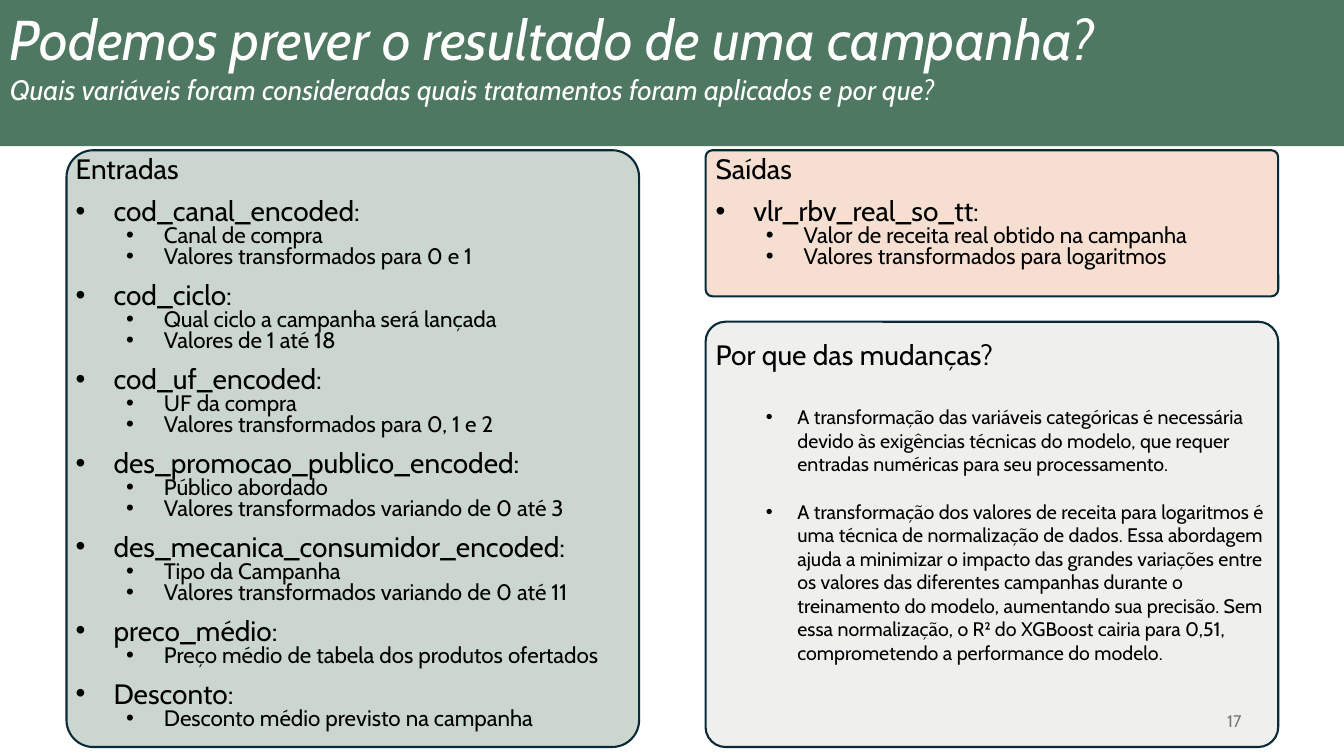
from pptx import Presentation
from pptx.dml.color import RGBColor
from pptx.enum.shapes import MSO_SHAPE as Shape
from pptx.enum.text import MSO_ANCHOR as Anchor, PP_ALIGN as Align
from pptx.oxml.ns import qn
from pptx.util import Pt
from lxml.etree import SubElement

FONT = "Cabin"
GREEN = RGBColor(0x4E, 0x78, 0x61)
SAGE = RGBColor(0x98, 0xAF, 0xA0)
PEACH = RGBColor(0xEF, 0xC1, 0xA5)
STONE = RGBColor(0xE1, 0xE0, 0xDC)
NAVY = RGBColor(0x09, 0x2A, 0x39)
BLACK = RGBColor(0, 0, 0)
WHITE = RGBColor(0xFF, 0xFF, 0xFF)
GRAY = RGBColor(0x79, 0x79, 0x79)

LEFT, RIGHT, COLUMN = 47.5, 504, 409
LINE = 15

INPUTS = [
    ("cod_canal_encoded:", ["Canal de compra", "Valores transformados para 0 e 1"]),
    ("cod_ciclo:", ["Qual ciclo a campanha será lançada", "Valores de 1 até 18"]),
    ("cod_uf_encoded:", ["UF da compra", "Valores transformados para 0, 1 e 2"]),
    ("des_promocao_publico_encoded:",
     ["Público abordado", "Valores transformados variando de 0 até 3"]),
    ("des_mecanica_consumidor_encoded:",
     ["Tipo da Campanha", "Valores transformados variando de 0 até 11"]),
    ("preco_médio:", ["Preço médio de tabela dos produtos ofertados"]),
    ("Desconto:", ["Desconto médio previsto na campanha"]),
]
OUTPUTS = [
    ("vlr_rbv_real_so_tt:",
     ["Valor de receita real obtido na campanha", "Valores transformados para logaritmos"]),
]
REASONS = [
    "A transformação das variáveis categóricas é necessária devido às exigências técnicas "
    "do modelo, que requer entradas numéricas para seu processamento.",
    "A transformação dos valores de receita para logaritmos é uma técnica de normalização "
    "de dados. Essa abordagem ajuda a minimizar o impacto das grandes variações entre os "
    "valores das diferentes campanhas durante o treinamento do modelo, aumentando sua "
    "precisão. Sem essa normalização, o R² do XGBoost cairia para 0,51, comprometendo a "
    "performance do modelo.",
]


def add_block(page, kind, left, top, width, height, color):
    block = page.shapes.add_shape(kind, Pt(left), Pt(top), Pt(width), Pt(height))
    block.shadow.inherit = False
    block.fill.solid()
    block.fill.fore_color.rgb = color
    block.line.fill.background()
    return block


def add_panel(page, left, top, height, color):
    """Half-transparent rounded panel with a dark outline."""
    panel = add_block(page, Shape.ROUNDED_RECTANGLE, left, top, COLUMN, height, color)
    panel.adjustments[0] = 0.047
    panel.line.color.rgb = NAVY
    panel.line.width = Pt(1.5)
    tint = panel.fill._xPr.find(qn("a:solidFill"))[0]
    SubElement(tint, qn("a:alpha"), val="50000")


def add_text_frame(page, left, top, width, height):
    box = page.shapes.add_textbox(Pt(left), Pt(top), Pt(width), Pt(height))
    box.text_frame.word_wrap = True
    return box.text_frame


def add_span(para, text, size, color=BLACK, italic=False):
    span = para.add_run()
    span.text = text
    span.font.name = FONT
    span.font.size = Pt(size)
    span.font.color.rgb = color
    span.font.italic = italic


def add_bullet(frame, text, size, level, margin, hanging, before=0):
    para = frame.add_paragraph()
    para.level = level
    para.space_before = Pt(before)
    properties = para._p.get_or_add_pPr()
    properties.set("marL", str(Pt(margin)))
    properties.set("indent", str(-Pt(hanging)))
    SubElement(properties, qn("a:buFont"), typeface="Arial")
    SubElement(properties, qn("a:buChar"), char="•")
    add_span(para, text, size)
    return para


def add_variables(page, left, top, height, heading, variables):
    """Heading, then each variable with its notes, on a fixed line pitch."""
    frame = add_text_frame(page, left, top, COLUMN, height)
    add_span(frame.paragraphs[0], heading, 20)
    for name, notes in variables:
        add_bullet(frame, name, 20, 0, 27, 27, before=LINE)
        for note in notes:
            add_bullet(frame, note, 16, 1, 63, 27)
    for para in frame.paragraphs:
        para.line_spacing = Pt(LINE)


def add_title(page):
    add_block(page, Shape.RECTANGLE, 0, 0, 960, 104.4, GREEN)
    para = add_text_frame(page, 0, 0, 921, 80).paragraphs[0]
    add_span(para, "Podemos prever o resultado de uma campanha?", 40, WHITE, True)
    para.add_line_break()
    add_span(para, "Quais variáveis foram consideradas quais tratamentos foram aplicados "
             "e por que?", 20, WHITE, True)


def add_reasons(page):
    frame = add_text_frame(page, RIGHT, 237.6, COLUMN, 276.5)
    add_span(frame.paragraphs[0], "Por que das mudanças?", 20)
    for reason, gap in zip(REASONS, (24.3, 17)):
        add_bullet(frame, reason, 14, 1, 58.5, 22.5, before=gap)


def add_page_number(page):
    frame = add_text_frame(page, 678, 500.4, 216, 28.8)
    frame.vertical_anchor = Anchor.MIDDLE
    para = frame.paragraphs[0]
    para.alignment = Align.RIGHT
    add_span(para, "17", 12, GRAY)


def main():
    deck = Presentation()
    deck.slide_width, deck.slide_height = Pt(960), Pt(540)
    page = deck.slides.add_slide(deck.slide_layouts[6])
    add_panel(page, RIGHT, 107.3, 104.4, PEACH)
    add_panel(page, LEFT, 107.3, 426.3, SAGE)
    add_title(page)
    add_variables(page, LEFT - 0.5, 113.8, 417, "Entradas", INPUTS)
    add_variables(page, RIGHT, 113.8, 98.6, "Saídas", OUTPUTS)
    add_panel(page, RIGHT, 229.8, 303.8, STONE)
    add_reasons(page)
    add_page_number(page)
    deck.save("out.pptx")


if __name__ == "__main__":
    main()
